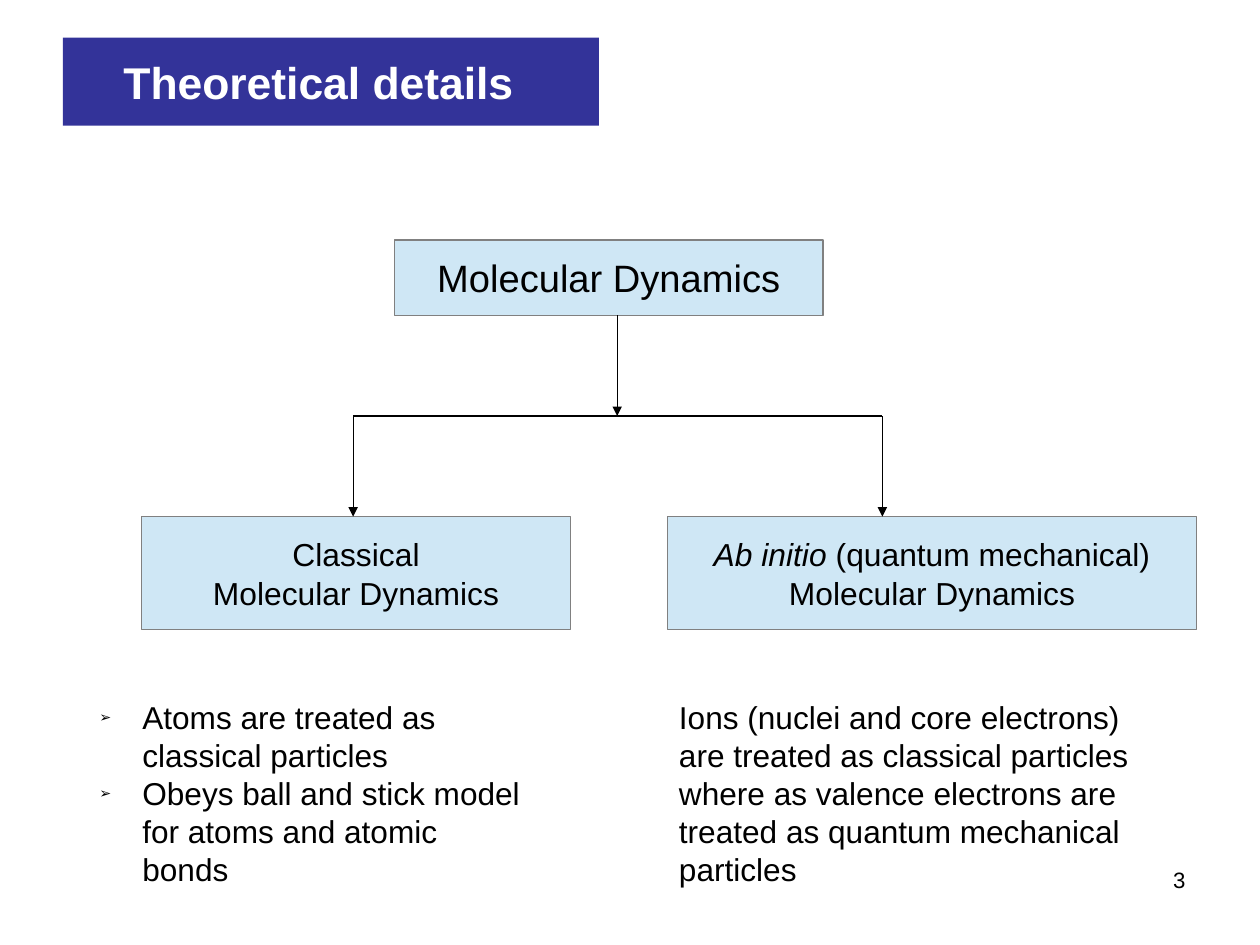
from lxml import etree
from pptx import Presentation
from pptx.dml.color import RGBColor
from pptx.enum.shapes import MSO_CONNECTOR, MSO_SHAPE
from pptx.enum.text import MSO_ANCHOR, MSO_AUTO_SIZE, PP_ALIGN
from pptx.oxml.ns import qn
from pptx.util import Pt

NAVY = RGBColor(0x33, 0x33, 0x99)
PALE_BLUE = RGBColor(0xCF, 0xE7, 0xF5)
GREY = RGBColor(0x80, 0x80, 0x80)
BLACK = RGBColor(0, 0, 0)
WHITE = RGBColor(0xFF, 0xFF, 0xFF)


def place(shape, left, top, width, height):
    shape.left, shape.top = Pt(left), Pt(top)
    shape.width, shape.height = Pt(width), Pt(height)


def add_run(paragraph, text, size, color=BLACK, bold=False, italic=False):
    run = paragraph.add_run()
    run.text = text
    run.font.name = "Arial"
    run.font.size = Pt(size)
    run.font.bold = bold
    run.font.italic = italic
    run.font.color.rgb = color


prs = Presentation()
prs.slide_width, prs.slide_height = Pt(793.7), Pt(595.28)
slide = prs.slides.add_slide(prs.slide_layouts.get_by_name("Two Content"))
title, classical_notes, quantum_notes = slide.placeholders

# Title banner
place(title, 39.6, 23.76, 337.68, 55.44)
title.fill.solid()
title.fill.fore_color.rgb = NAVY
title.text_frame.auto_size = MSO_AUTO_SIZE.NONE
title.text_frame.vertical_anchor = MSO_ANCHOR.MIDDLE
title.text_frame.margin_right = Pt(23)
heading = title.text_frame.paragraphs[0]
heading.alignment = PP_ALIGN.CENTER
add_run(heading, "Theoretical details", 28, WHITE, bold=True)

# Boxes: left, top, width, height, size, lines of (text, italic) runs
ROOT_BOTTOM, BRANCH_Y, METHOD_TOP = 198.72, 262.08, 325.44
boxes = [
    (248.4, 151.2, 270, ROOT_BOTTOM - 151.2, 24, [[("Molecular Dynamics", False)]]),
    (89.28, METHOD_TOP, 270, 71.28, 20,
     [[("Classical", False)], [("Molecular Dynamics", False)]]),
    (420.48, METHOD_TOP, 333.36, 71.28, 20,
     [[("Ab initio", True), (" (quantum mechanical)", False)],
      [("Molecular Dynamics", False)]]),
]
for left, top, width, height, size, lines in boxes:
    box = slide.shapes.add_shape(
        MSO_SHAPE.RECTANGLE, Pt(left), Pt(top), Pt(width), Pt(height))
    box.shadow.inherit = False
    box.fill.solid()
    box.fill.fore_color.rgb = PALE_BLUE
    box.line.color.rgb = GREY
    box.line.width = Pt(0.75)
    frame = box.text_frame
    frame.word_wrap = False
    frame.vertical_anchor = MSO_ANCHOR.MIDDLE
    for index, runs in enumerate(lines):
        line = frame.add_paragraph() if index else frame.paragraphs[0]
        line.alignment = PP_ALIGN.CENTER
        for text, italic in runs:
            add_run(line, text, size, italic=italic)

# Tree lines: start, end, arrowhead
ROOT_X, CLASSICAL_X, QUANTUM_X = 388.8, 222.48, 555.84
branches = [
    (ROOT_X, ROOT_BOTTOM, ROOT_X, BRANCH_Y, True),
    (CLASSICAL_X, BRANCH_Y, QUANTUM_X, BRANCH_Y, False),
    (CLASSICAL_X, BRANCH_Y, CLASSICAL_X, METHOD_TOP, True),
    (QUANTUM_X, BRANCH_Y, QUANTUM_X, METHOD_TOP, True),
]
for x1, y1, x2, y2, arrow in branches:
    branch = slide.shapes.add_connector(
        MSO_CONNECTOR.STRAIGHT, Pt(x1), Pt(y1), Pt(x2), Pt(y2))
    branch.line.color.rgb = BLACK
    branch.line.width = Pt(0.75)
    if arrow:
        etree.SubElement(branch.line._get_or_add_ln(), qn("a:tailEnd"), type="triangle")
    etree.SubElement(branch._element.spPr, qn("a:effectLst"))

# Notes under the two methods: left, height, right margin, bulleted, texts
notes = [
    (classical_notes, 55.44, 102.96, 25, True,
     ["Atoms are treated as classical particles",
      "Obeys ball and stick model for atoms and atomic bonds"]),
    (quantum_notes, 420.48, 126.72, 7.2, False,
     ["Ions (nuclei and core electrons) are treated as classical particles "
      "where as valence electrons are treated as quantum mechanical particles"]),
]
for note, left, height, margin_right, bulleted, texts in notes:
    place(note, left, 436.32, 301.68, height)
    frame = note.text_frame
    frame.auto_size = MSO_AUTO_SIZE.NONE
    frame.margin_right = Pt(margin_right)
    for index, text in enumerate(texts):
        item = frame.add_paragraph() if index else frame.paragraphs[0]
        props = item._p.get_or_add_pPr()
        hanging = Pt(27) if bulleted else 0
        props.set("marL", str(hanging))
        props.set("indent", str(-hanging))
        if bulleted:
            bullet_color = etree.SubElement(props, qn("a:buClr"))
            etree.SubElement(bullet_color, qn("a:srgbClr"), val=str(BLACK))
            etree.SubElement(props, qn("a:buSzPct"), val="45000")
            etree.SubElement(props, qn("a:buChar"), char="➢")
        else:
            etree.SubElement(props, qn("a:buNone"))
        item.space_before = Pt(0)
        add_run(item, text, 19.9)

# Page number
page_number = slide.shapes.add_textbox(Pt(568.8), Pt(542.16), Pt(185.04), Pt(41.04))
page_number.text_frame.word_wrap = True
number_line = page_number.text_frame.paragraphs[0]
number_line.alignment = PP_ALIGN.RIGHT
add_run(number_line, "3", 14)

prs.save("out.pptx")
